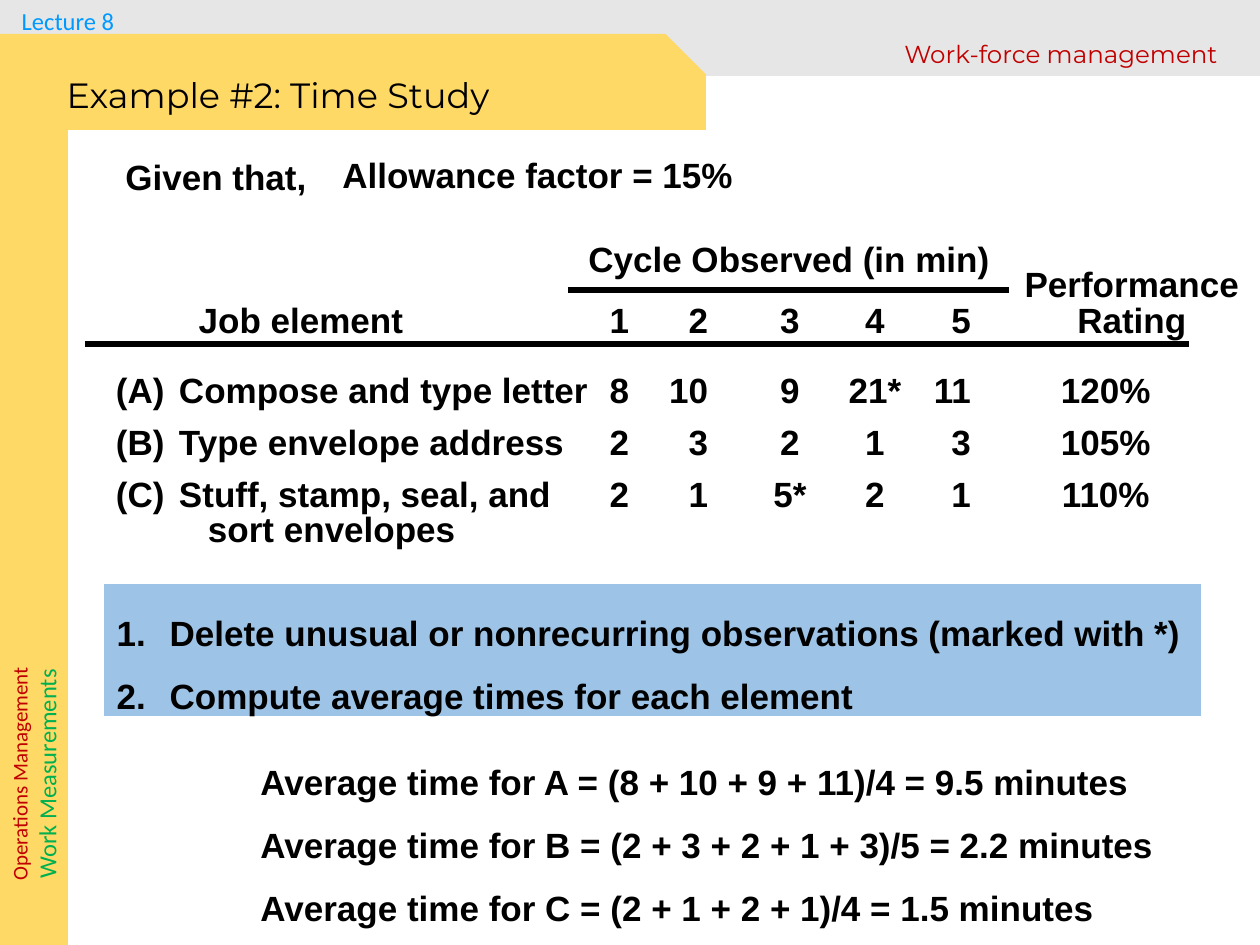
from dataclasses import dataclass

from lxml.etree import SubElement
from pptx import Presentation
from pptx.dml.color import RGBColor
from pptx.enum.shapes import MSO_CONNECTOR, MSO_SHAPE
from pptx.enum.text import MSO_ANCHOR, MSO_AUTO_SIZE, PP_ALIGN
from pptx.oxml.ns import qn
from pptx.util import Emu, Pt

SCALE = 914400 / 126  # EMU per px
BLACK = RGBColor(0x00, 0x00, 0x00)
GREY = RGBColor(0x74, 0x6E, 0x6E)
GOLD = RGBColor(0xFF, 0xD9, 0x66)
SKY = RGBColor(0x9D, 0xC3, 0xE6)
RED = RGBColor(0xC0, 0x00, 0x00)
GREEN = RGBColor(0x00, 0xB0, 0x50)
BLUE = RGBColor(0x00, 0x99, 0xFF)
LEFT, MID, RIGHT = PP_ALIGN.LEFT, PP_ALIGN.CENTER, PP_ALIGN.RIGHT

Box = tuple[int, int, int, int]


@dataclass
class Line:
    text: str
    face: str = "Arial"
    size: int = 20
    color: RGBColor = BLACK
    bold: bool = True
    align: PP_ALIGN = LEFT
    space: float = 1.0


@dataclass
class Note:
    box: Box
    lines: list[Line]
    turn: int = 0


@dataclass
class Band:
    kind: MSO_SHAPE
    box: Box
    color: RGBColor


@dataclass
class Column:
    head: str
    width: int
    align: PP_ALIGN
    head_pad: int = 0
    pad: int = 0


def px(n: int) -> Emu:
    return Emu(round(n * SCALE))


def apply(target, values: dict) -> None:
    for name, value in values.items():
        setattr(target, name, value)


def place(shape, box: Box) -> None:
    apply(shape, dict(zip(("left", "top", "width", "height"), map(px, box))))


def write(frame, lines: list[Line]) -> list:
    """Fill a text frame and return its paragraphs."""
    pars = []
    for i, line in enumerate(lines):
        par = frame.add_paragraph() if i else frame.paragraphs[0]
        run = par.add_run()
        run.text = line.text
        apply(par, {"alignment": line.align, "line_spacing": line.space,
                    "space_before": Pt(0), "space_after": Pt(0)})
        apply(run.font, {"name": line.face, "size": Pt(line.size), "bold": line.bold})
        run.font.color.rgb = line.color
        pars.append(par)
    return pars


def indent(par, left: int, kind: str = "", start: int = 1) -> None:
    """Indent a paragraph, with a hanging number if a kind is given."""
    props = par._p.get_or_add_pPr()
    props.set("marL", str(px(left)))
    props.set("indent", str(-px(left) if kind else 0))
    if kind:
        mark = SubElement(props, qn("a:buAutoNum"), type=kind)
        if start > 1:
            mark.set("startAt", str(start))


def draw_band(shapes, band: Band):
    shape = shapes.add_shape(band.kind, *map(px, band.box))
    shape.shadow.inherit = False
    shape.fill.solid()
    shape.fill.fore_color.rgb = band.color
    shape.line.fill.background()
    return shape


def draw_note(shapes, note: Note) -> None:
    shape = shapes.add_textbox(*map(px, note.box))
    shape.rotation = note.turn
    shape.text_frame.word_wrap = False
    write(shape.text_frame, note.lines)


def draw_rule(shapes, left: int, right: int, y: int) -> None:
    rule = shapes.add_connector(MSO_CONNECTOR.STRAIGHT, px(left), px(y), px(right), px(y))
    rule.line.color.rgb = BLACK
    rule.line.width = Pt(3)
    SubElement(rule._element.spPr, qn("a:effectLst"))


def draw_table(shapes, spot: tuple[int, int], cols: list[Column], rows: list, tall: list[int]) -> None:
    size = (sum(c.width for c in cols), sum(tall))
    table = shapes.add_table(len(tall), len(cols), *map(px, spot + size)).table
    apply(table, {"first_row": False, "horz_banding": False})
    for row, height in zip(table.rows, tall):
        row.height = px(height)
    for x, col in enumerate(cols):
        table.columns[x].width = px(col.width)
        for y, row in enumerate([[c.head for c in cols]] + rows):
            cell, head = table.cell(y, x), y == 0
            cell.fill.background()
            apply(cell, {
                "margin_left": px(0 if x else 13),
                "margin_right": px(col.head_pad if head else col.pad),
                "margin_top": px(0 if head else 8),
                "margin_bottom": px(27 if head else 0),
                "vertical_anchor": MSO_ANCHOR.BOTTOM if head else MSO_ANCHOR.TOP,
            })
            align = MID if head and x == 0 else col.align
            pars = write(cell.text_frame,
                         [Line(t, align=align, space=0.9) for t in row[x].split("\n")])
            if x == 0 and not head:
                indent(pars[0], 63, "alphaUcParenBoth", y)
                for par in pars[1:]:
                    indent(par, 92)


BANDS = [
    Band(MSO_SHAPE.RECTANGLE, (0, 0, 1260, 76), GREY),
    Band(MSO_SHAPE.SNIP_1_RECTANGLE, (-1, 34, 707, 96), GOLD),
    Band(MSO_SHAPE.RECTANGLE, (-1, 110, 69, 835), GOLD),
]
NOTES = [
    Note((-96, 740, 261, 68), [
        Line("Operations Management", "Calibri", 12, RED, False, MID),
        Line("Work Measurements", "Calibri", 14, GREEN, False, MID)], 270),
    Note((5, 0, 126, 43), [Line("Lecture 8", "Calibri", 14, BLUE, False, MID)]),
    Note((882, 33, 358, 43), [Line("Work-force management", "Montserrat", 14, RED, False, MID)]),
    Note((113, 149, 218, 55), [Line("Given that,")]),
    Note((330, 152, 418, 50), [Line("Allowance factor = 15%", space=0.9)]),
    Note((576, 231, 430, 55), [Line("Cycle Observed (in min)")]),
    Note((248, 733, 924, 204), [Line(f"Average time for {t} minutes", space=1.5) for t in (
        "A = (8 + 10 + 9 + 11)/4 = 9.5",
        "B = (2 + 3 + 2 + 1 + 3)/5 = 2.2",
        "C = (2 + 1 + 2 + 1)/4 = 1.5")]),
]
COLUMNS = [
    Column("Job element", 500, LEFT, head_pad=117),
    Column("1", 26, RIGHT),
    Column("2", 123, RIGHT, 44, 44),
    Column("3", 76, MID),
    Column("4", 94, MID),
    Column("5", 88, RIGHT, 39, 39),
    Column("Performance\nRating", 244, MID, pad=52),
]
ROWS = [
    ["Compose and type letter", "8", "10", "9", "21*", "11", "120%"],
    ["Type envelope address", "2", "3", "2", "1", "3", "105%"],
    ["Stuff, stamp, seal, and\nsort envelopes", "2", "1", "5*", "2", "1", "110%"],
]
STEPS = ["Delete unusual or nonrecurring observations (marked with *)",
         "Compute average times for each element"]


def main() -> None:
    deck = Presentation()
    apply(deck, {"slide_width": px(1260), "slide_height": px(945)})
    slide = deck.slides.add_slide(deck.slide_layouts[1])
    shapes = slide.shapes
    title, body = shapes.title, slide.placeholders[1]

    # Coloured bands, the top one mostly clear
    top, tab, _ = [draw_band(shapes, band) for band in BANDS]
    tint = top.fill._xPr.find(qn("a:solidFill"))[0]
    SubElement(tint, qn("a:alpha"), val="17000")
    tab.adjustments[0] = 0.42

    # Title in front of the bands
    title.element.getparent().append(title.element)
    place(title, (54, 72, 522, 57))
    apply(title.text_frame, {"vertical_anchor": MSO_ANCHOR.TOP, "auto_size": MSO_AUTO_SIZE.NONE})
    write(title.text_frame, [Line("Example #2: Time Study", "Montserrat", bold=False, space=0.9)])

    # Numbered steps
    place(body, (104, 584, 1097, 132))
    body.fill.solid()
    body.fill.fore_color.rgb = SKY
    apply(body.text_frame, {"vertical_anchor": MSO_ANCHOR.TOP, "auto_size": MSO_AUTO_SIZE.NONE})
    for par in write(body.text_frame, [Line(t, space=1.5) for t in STEPS]):
        indent(par, 53, "arabicPeriod")

    # Observations and their rules
    draw_table(shapes, (103, 262), COLUMNS, ROWS, [105, 52, 52, 90])
    draw_rule(shapes, 85, 1189, 344)
    draw_rule(shapes, 568, 1009, 290)

    # Free text
    for note in NOTES:
        draw_note(shapes, note)

    deck.save("out.pptx")


if __name__ == "__main__":
    main()
